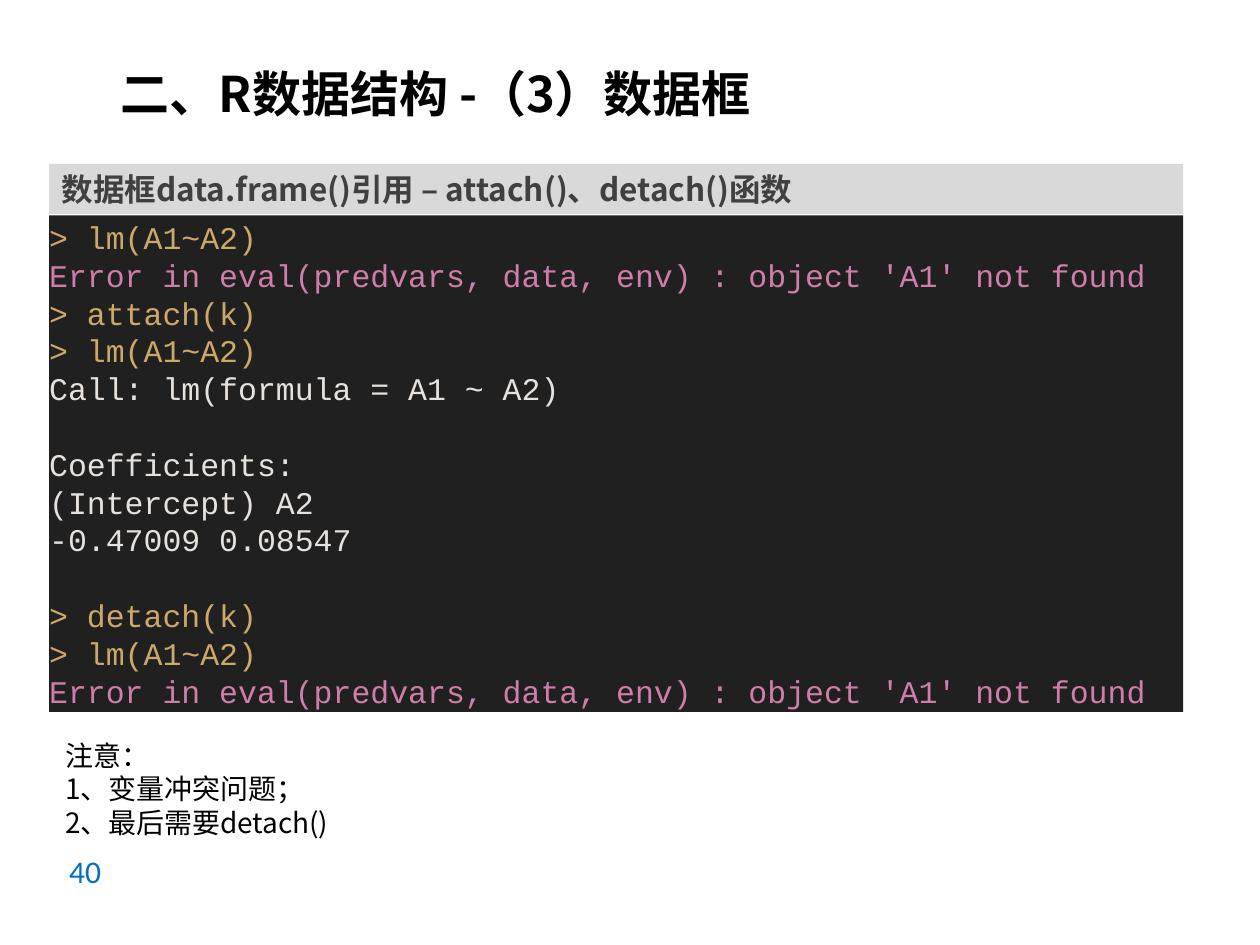
from lxml import etree
from pptx import Presentation
from pptx.dml.color import RGBColor
from pptx.enum.shapes import MSO_SHAPE
from pptx.enum.text import MSO_ANCHOR, PP_ALIGN
from pptx.oxml.ns import qn
from pptx.util import Inches, Pt

RECT = MSO_SHAPE.RECTANGLE
TOP, MIDDLE = MSO_ANCHOR.TOP, MSO_ANCHOR.MIDDLE
LEFT = PP_ALIGN.LEFT

CJK, LATIN, MONO = "Noto Sans CJK SC", "Calibri", "Courier New"
COLORS = {
    "black": "000000",
    "page": "0070C0",
    "bar": "D9D9D9",
    "heading": "404041",
    "console": "202020",
    "input": "CDA869",
    "error": "CF7EA9",
    "output": "E6E1DC",
}

ERROR = "Error in eval(predvars, data, env) : object 'A1' not found"
SESSION = [
    ("> lm(A1~A2)", "input"),
    (ERROR, "error"),
    ("> attach(k)", "input"),
    ("> lm(A1~A2)", "input"),
    ("Call: lm(formula = A1 ~ A2)", "output"),
    ("", "output"),
    ("Coefficients:", "output"),
    ("(Intercept) A2", "output"),
    ("-0.47009 0.08547", "output"),
    ("", "output"),
    ("> detach(k)", "input"),
    ("> lm(A1~A2)", "input"),
    (ERROR, "error"),
]
NOTES = ["注意：", "1、变量冲突问题；", "2、最后需要detach()"]


def rgb(name):
    return RGBColor.from_string(COLORS[name])


def write(p, text, size=18, font=CJK, color="black", bold=False):
    p.alignment = LEFT
    if not text:
        end = etree.SubElement(p._p, qn("a:endParaRPr"))
        end.set("sz", str(size * 100))
        etree.SubElement(end, qn("a:latin")).set("typeface", font)
        return
    r = p.add_run()
    r.text = text
    r.font.size = Pt(size)
    r.font.name = font
    r.font.bold = bold
    r.font.color.rgb = rgb(color)
    etree.SubElement(r.font._element, qn("a:ea")).set("typeface", font)


def fill_frame(sp, lines, anchor=TOP, insets=(0.1, 0.05), **fmt):
    tf = sp.text_frame
    tf.word_wrap = True
    tf.vertical_anchor = anchor
    tf.margin_left = tf.margin_right = Inches(insets[0])
    tf.margin_top = tf.margin_bottom = Inches(insets[1])
    for i, (text, color) in enumerate(lines):
        p = tf.add_paragraph() if i else tf.paragraphs[0]
        write(p, text, color=color, **fmt)


def add_text(s, box, lines, **fmt):
    sp = s.shapes.add_textbox(*map(Inches, box))
    fill_frame(sp, lines, **fmt)


def add_panel(s, box, fill, lines, **fmt):
    sp = s.shapes.add_shape(RECT, *map(Inches, box))
    sp.shadow.inherit = False
    sp.fill.solid()
    sp.fill.fore_color.rgb = rgb(fill)
    sp.line.fill.background()
    fill_frame(sp, lines, **fmt)


def main():
    prs = Presentation()
    prs.slide_width, prs.slide_height = Inches(10), Inches(7.5)
    s = prs.slides.add_slide(prs.slide_layouts[6])

    add_text(s, (0.89, 0.46, 6.65, 0.55), [("二、R数据结构 -（3）数据框", "black")],
             anchor=MIDDLE, insets=(0.07, 0.04), size=28, bold=True)
    add_text(s, (0.45, 6.71, 2.25, 0.4), [("40", "page")], font=LATIN)
    add_panel(s, (0.39, 1.3, 9, 0.4), "bar",
              [("数据框data.frame()引用 – attach()、detach()函数", "heading")], bold=True)
    add_text(s, (0.42, 5.81, 7.87, 0.91), [(note, "black") for note in NOTES], size=16)
    add_panel(s, (0.39, 1.71, 9, 3.94), "console", SESSION,
              anchor=MIDDLE, insets=(0, 0), font=MONO)

    prs.save("out.pptx")


if __name__ == "__main__":
    main()
